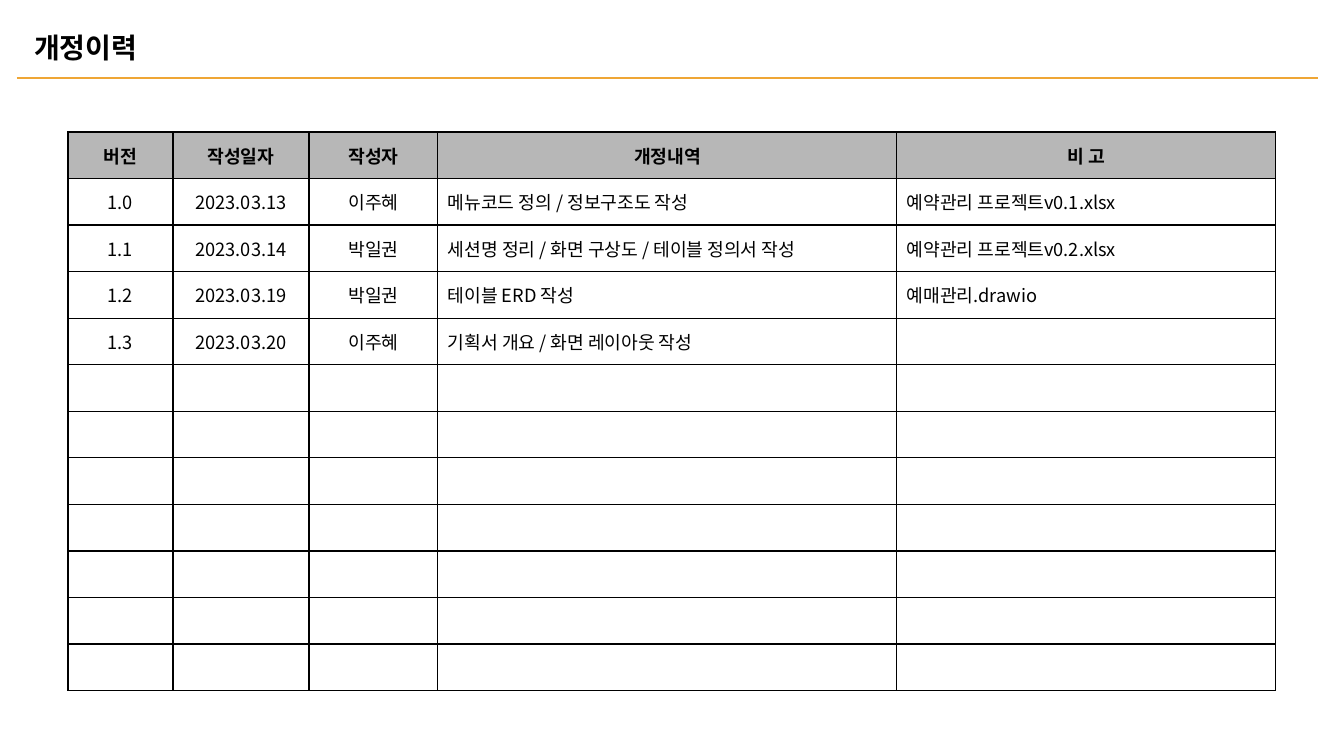
"""Builds the revision history slide: a title, a rule and a bordered table."""
from lxml.etree import SubElement
from pptx import Presentation
from pptx.dml.color import RGBColor
from pptx.enum.shapes import MSO_CONNECTOR
from pptx.enum.text import MSO_ANCHOR as ANCHOR, PP_ALIGN as ALIGN
from pptx.oxml import parse_xml
from pptx.oxml.ns import nsdecls, qn
from pptx.util import Pt

PX = 914400 / 100.8
FONT = "Noto Sans CJK KR"
BLACK = RGBColor(0x00, 0x00, 0x00)
GRAY = RGBColor(0xB7, 0xB7, 0xB7)
ORANGE = RGBColor(0xEF, 0xA6, 0x35)

COLUMNS = [105, 136, 129, 459, 379]
ROW_COUNT = 12
TABLE_HEIGHT = 559
ROWS = [
    ["버전", "작성일자", "작성자", "개정내역", "비 고"],
    ["1.0", "2023.03.13", "이주혜", "메뉴코드 정의 / 정보구조도 작성", "예약관리 프로젝트v0.1.xlsx"],
    ["1.1", "2023.03.14", "박일권", "세션명 정리 / 화면 구상도 / 테이블 정의서 작성", "예약관리 프로젝트v0.2.xlsx"],
    ["1.2", "2023.03.19", "박일권", "테이블 ERD 작성", "예매관리.drawio"],
    ["1.3", "2023.03.20", "이주혜", "기획서 개요 / 화면 레이아웃 작성", ""],
]


def px(*values):
    return [round(v * PX) for v in values]


def style(p, size, bold):
    for r in p.runs:
        r.font.name, r.font.size, r.font.bold = FONT, Pt(size), bold
        r.font.color.rgb = BLACK
        SubElement(r.font._element, qn("a:ea"), typeface=FONT)


prs = Presentation()
prs.slide_width, prs.slide_height = px(1344, 756)
s = prs.slides.add_slide(prs.slide_layouts[6])

rule = s.shapes.add_connector(MSO_CONNECTOR.STRAIGHT, *px(17, 78, 1318, 78))
rule.line.color.rgb = ORANGE
rule.line.width = Pt(1.75)
SubElement(rule._element.spPr, qn("a:effectLst"))

title = s.shapes.add_textbox(*px(24, 28, 845, 42))
tf = title.text_frame
tf.word_wrap = True
tf.margin_left, tf.margin_top, tf.margin_right, tf.margin_bottom = px(10, 2, 2, 2)
tf.vertical_anchor = ANCHOR.MIDDLE
p = tf.paragraphs[0]
p.text = "개정이력"
p.line_spacing = 0.9
style(p, 20, True)

frame = s.shapes.add_table(ROW_COUNT, len(COLUMNS), *px(68, 132, sum(COLUMNS), TABLE_HEIGHT))
table = frame.table
for column, width in zip(table.columns, COLUMNS):
    column.width, = px(width)

for i, row in enumerate(table.rows):
    row.height, = px(TABLE_HEIGHT / ROW_COUNT)
    texts = ROWS[i] if i < len(ROWS) else [""] * len(COLUMNS)
    for j, (cell, text) in enumerate(zip(row.cells, texts)):
        cell.margin_left, cell.margin_top, cell.margin_right, cell.margin_bottom = px(10, 6, 10, 6)
        cell.vertical_anchor = ANCHOR.MIDDLE
        p = cell.text_frame.paragraphs[0]
        p.text = text
        p.alignment = ALIGN.CENTER if i == 0 or j < 3 else ALIGN.LEFT
        style(p, 13, i == 0)
        SubElement(p._p, qn("a:endParaRPr"), sz="1300")
        tcPr = cell._tc.get_or_add_tcPr()
        for side in ("lnL", "lnR", "lnT", "lnB"):
            tcPr.append(parse_xml(
                f'<a:{side} {nsdecls("a")} w="12700"><a:solidFill>'
                f'<a:srgbClr val="{BLACK}"/></a:solidFill></a:{side}>'))
        if i == 0:
            cell.fill.solid()
            cell.fill.fore_color.rgb = GRAY
        else:
            cell.fill.background()

prs.save("out.pptx")
